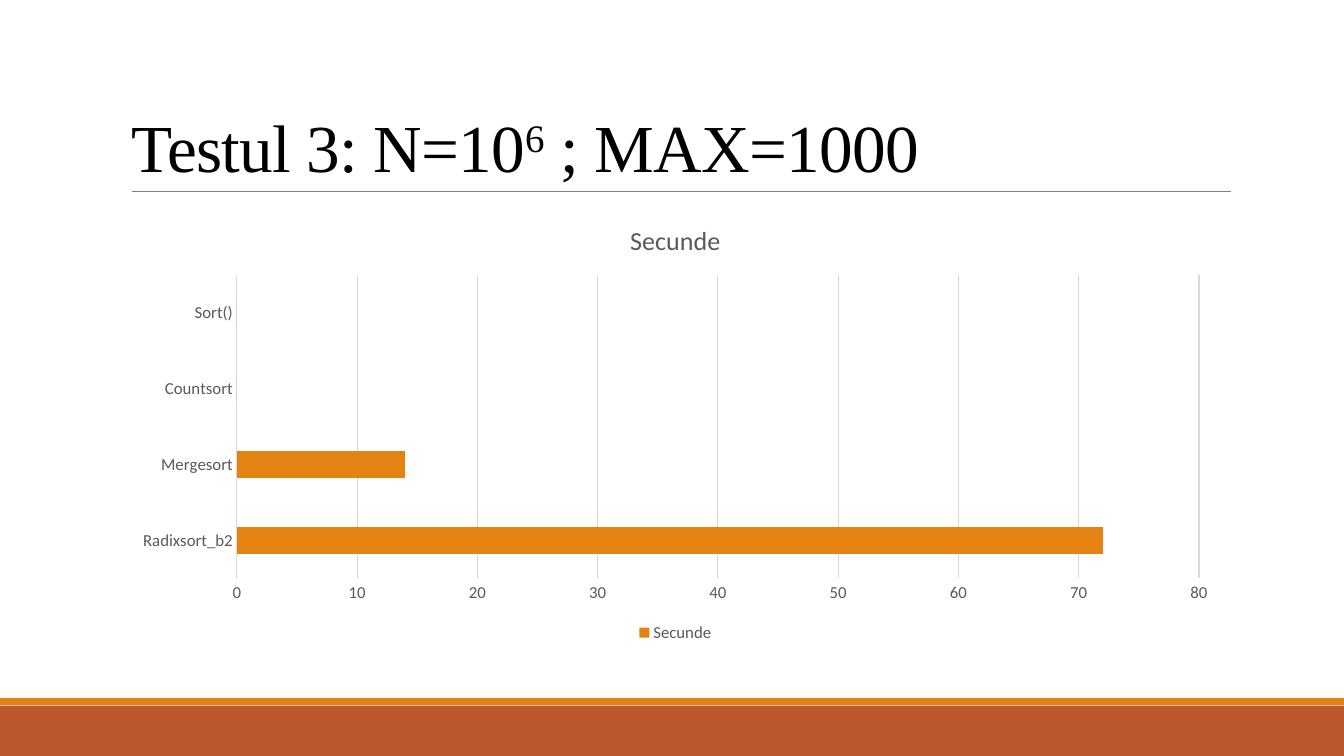
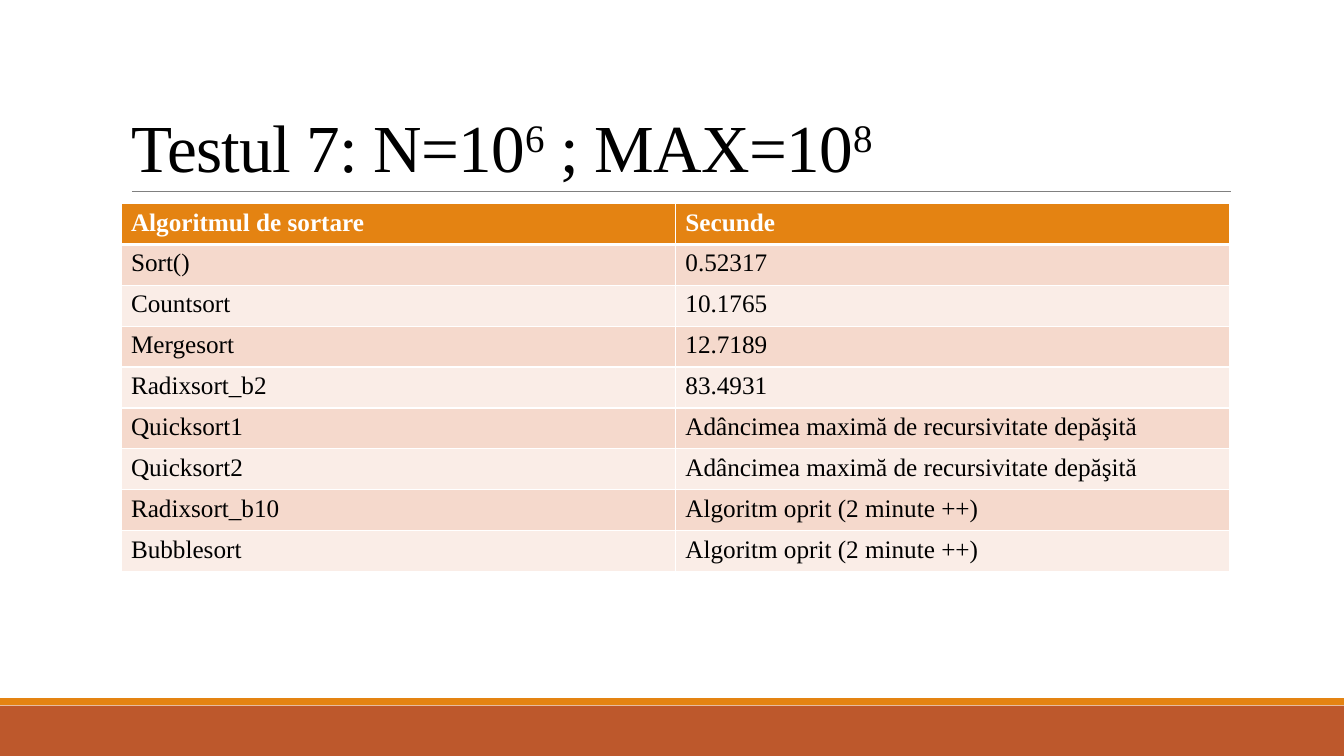
import pptx
import pptx.chart.data
import pptx.dml.color
import pptx.enum.chart
import pptx.enum.shapes
import pptx.enum.text
import pptx.oxml
import pptx.oxml.ns
import pptx.util
from pptx.util import Pt

SLIDE_WIDTH, SLIDE_HEIGHT = 960, 540
BROWN, ORANGE, WHITE, BLACK = "BD582C", "E48312", "FFFFFF", "000000"
RULE_GRAY, GRID_GRAY, LABEL_GRAY = "808080", "D9D9D9", "595959"
ROW_FILLS = ["F5D9CC", "FAEDE7"]
SERIF, SANS = "Times New Roman", "Calibri"

# Boxes are left, top, width, height in points.
TITLE_BOX = (87, 22.3, 792, 114.5)
CHART_BOX = (86.4, 145.4, 792, 316.5)
TABLE_BOX = (86.4, 145.4, 792, 263)


def color(hex_string):
    return pptx.dml.color.RGBColor.from_string(hex_string)


def style_font(font, size, hex_string, name, bold=False):
    font.size, font.name, font.bold = Pt(size), name, bold
    font.color.rgb = color(hex_string)


def add_band(slide, box, fill):
    band = slide.shapes.add_shape(
        pptx.enum.shapes.MSO_SHAPE.RECTANGLE, *map(Pt, box))
    band.shadow.inherit = False
    band.fill.solid()
    band.fill.fore_color.rgb = color(fill)
    band.line.fill.background()


def add_title(slide, box, parts):
    """Write (text, is_superscript) parts as a bottom-anchored title."""
    text_box = slide.shapes.add_textbox(*map(Pt, box))
    text_frame = text_box.text_frame
    text_frame.word_wrap = True
    text_frame.vertical_anchor = pptx.enum.text.MSO_ANCHOR.BOTTOM
    paragraph = text_frame.paragraphs[0]
    paragraph.line_spacing = 0.85
    for text, is_superscript in parts:
        run = paragraph.add_run()
        run.text = text
        style_font(run.font, 48, BLACK, SERIF)
        properties = run._r.get_or_add_rPr()
        properties.set("spc", "-50")
        if is_superscript:
            properties.set("baseline", "30000")


def add_title_rule(slide, box):
    """Draw the thin line under the title, from its text edge."""
    left, top, width, height = box
    bottom = top + height
    rule = slide.shapes.add_connector(
        pptx.enum.shapes.MSO_CONNECTOR.STRAIGHT,
        Pt(left + 7.2), Pt(bottom), Pt(left + width), Pt(bottom))
    rule.line.color.rgb = color(RULE_GRAY)
    rule.line.width = Pt(0.5)
    rule._element.spPr.append(pptx.oxml.parse_xml(
        f'<a:effectLst {pptx.oxml.ns.nsdecls("a")}/>'))


def add_base_slide(presentation, title_parts):
    slide = presentation.slides.add_slide(presentation.slide_layouts[6])
    slide.background.fill.solid()
    slide.background.fill.fore_color.rgb = color(WHITE)
    add_band(slide, (0, 504, SLIDE_WIDTH, 36), BROWN)
    add_band(slide, (0, 498.75, SLIDE_WIDTH, 5), ORANGE)
    add_title_rule(slide, TITLE_BOX)
    add_title(slide, TITLE_BOX, title_parts)
    return slide


def add_bar_chart(slide, box, name, seconds):
    chart_data = pptx.chart.data.CategoryChartData()
    chart_data.categories = list(seconds)
    chart_data.add_series(name, list(seconds.values()))
    chart = slide.shapes.add_chart(
        pptx.enum.chart.XL_CHART_TYPE.BAR_CLUSTERED,
        *map(Pt, box), chart_data).chart
    style_font(chart.font, 10, BLACK, SANS)

    chart.has_title = True
    title_frame = chart.chart_title.text_frame
    title_frame.text = name
    style_font(title_frame.paragraphs[0].runs[0].font, 18.6, LABEL_GRAY, SANS)
    chart.chart_title.include_in_layout = False

    chart.has_legend = True
    chart.legend.position = pptx.enum.chart.XL_LEGEND_POSITION.BOTTOM
    chart.legend.include_in_layout = False
    style_font(chart.legend.font, 12, LABEL_GRAY, SANS)

    plot = chart.plots[0]
    plot.gap_width = 182
    plot.vary_by_categories = False
    series_fill = plot.series[0].format.fill
    series_fill.solid()
    series_fill.fore_color.rgb = color(ORANGE)

    category_axis, value_axis = chart.category_axis, chart.value_axis
    for axis in (category_axis, value_axis):
        axis.major_tick_mark = pptx.enum.chart.XL_TICK_MARK.NONE
        axis.minor_tick_mark = pptx.enum.chart.XL_TICK_MARK.NONE
        style_font(axis.tick_labels.font, 12, LABEL_GRAY, SANS)
    value_axis.minimum_scale, value_axis.maximum_scale = 0, 80
    value_axis.major_unit = 10
    value_axis.has_major_gridlines = True
    value_axis.format.line.fill.background()
    for line in (category_axis.format.line,
                 value_axis.major_gridlines.format.line):
        line.color.rgb = color(GRID_GRAY)
        line.width = Pt(0.75)


def set_borders(cell, widths):
    """Give a cell white borders; widths maps L, R, T and B to points."""
    properties = cell._tc.get_or_add_tcPr()
    for side, width in widths.items():
        properties.append(pptx.oxml.parse_xml(
            f'<a:ln{side} {pptx.oxml.ns.nsdecls("a")} w="{Pt(width)}">'
            f'<a:solidFill><a:srgbClr val="{WHITE}"/></a:solidFill>'
            f'</a:ln{side}>'))


def add_table(slide, box, rows):
    """Add a banded table whose first row is the header."""
    left, top, width, height = box
    table = slide.shapes.add_table(
        len(rows), len(rows[0]), *map(Pt, box)).table
    for column in table.columns:
        column.width = Pt(width / len(rows[0]))
    for row_index, texts in enumerate(rows):
        is_header = row_index == 0
        table.rows[row_index].height = Pt(height / len(rows))
        fill = ORANGE if is_header else ROW_FILLS[(row_index - 1) % 2]
        borders = {"L": 1, "R": 1, "T": 3 if row_index == 1 else 1,
                   "B": 3 if is_header else 1}
        for column_index, text in enumerate(texts):
            cell = table.cell(row_index, column_index)
            set_borders(cell, borders)
            cell.fill.solid()
            cell.fill.fore_color.rgb = color(fill)
            cell.text_frame.text = text
            style_font(cell.text_frame.paragraphs[0].runs[0].font, 18,
                       WHITE if is_header else BLACK, SERIF, is_header)


def add_chart_slide(presentation):
    slide = add_base_slide(presentation, [
        ("Testul 3: N=10", False), ("6", True), (" ; MAX=1000", False)])
    add_bar_chart(slide, CHART_BOX, "Secunde", {
        "Radixsort_b2": 72, "Mergesort": 14, "Countsort": 0, "Sort()": 0})


def add_table_slide(presentation):
    slide = add_base_slide(presentation, [
        ("Testul 7: N=10", False), ("6", True),
        (" ; MAX=10", False), ("8", True)])
    too_deep = "Adâncimea maximă de recursivitate depăşită"
    stopped = "Algoritm oprit (2 minute ++)"
    add_table(slide, TABLE_BOX, [
        ("Algoritmul de sortare", "Secunde"),
        ("Sort()", "0.52317"),
        ("Countsort", "10.1765"),
        ("Mergesort", "12.7189"),
        ("Radixsort_b2", "83.4931"),
        ("Quicksort1", too_deep),
        ("Quicksort2", too_deep),
        ("Radixsort_b10", stopped),
        ("Bubblesort", stopped)])


def main():
    presentation = pptx.Presentation()
    presentation.slide_width = Pt(SLIDE_WIDTH)
    presentation.slide_height = Pt(SLIDE_HEIGHT)
    add_chart_slide(presentation)
    add_table_slide(presentation)
    presentation.save("out.pptx")


if __name__ == "__main__":
    main()
